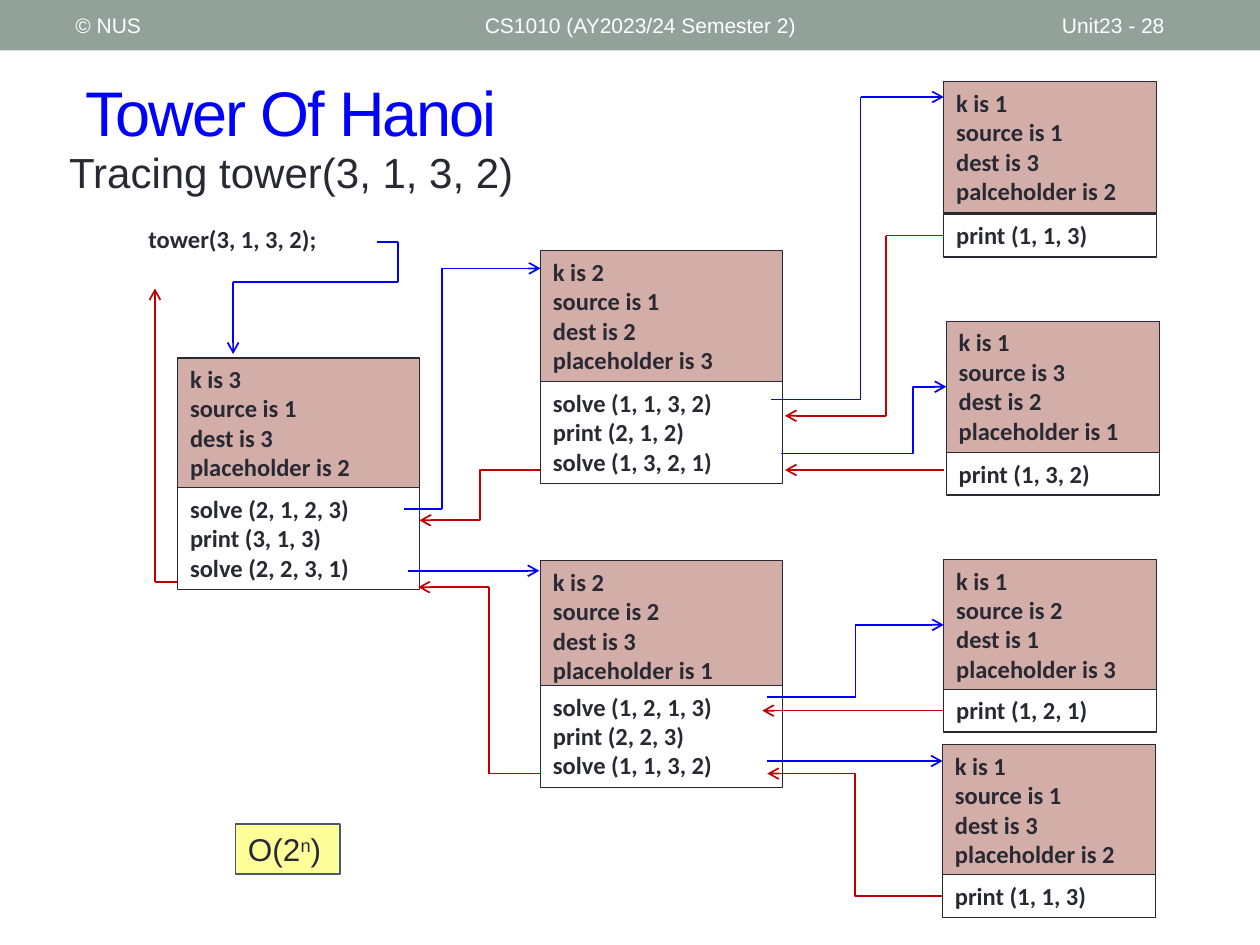
import pptx
import pptx.chart.data
import pptx.dml.color
import pptx.enum.shapes
import pptx.enum.text
import pptx.oxml
import pptx.oxml.ns
import pptx.util
from pptx.util import Inches

HEX = {
    "bar": "93A299", "white": "FFFFFF", "ink": "292934", "call": "0000FF",
    "back": "C00000", "state": "D3AEA8", "note": "FFFF99", "edge": "4C5A6A",
    "mark": "3B3B4B",
}

HEAD = [("© NUS", 0.5, 3.17), ("CS1010 (AY2023/24 Semester 2)", 3.75, 4.5),
        ("Unit23 - 28", 8.33, 1.17)]

# left, top, width, state height, top of steps, steps height,
# (k, source, dest, placeholder), steps, label of the last state line
WORD = "placeholder"
FRAMES = [
    (1.41, 2.84, 1.92, 1.28, 3.87, 0.81, (3, 1, 3, 2),
     ["solve (2, 1, 2, 3)", "print (3, 1, 3)", "solve (2, 2, 3, 1)"], WORD),
    (4.29, 1.99, 1.92, 1.28, 3.03, 0.81, (2, 1, 2, 3),
     ["solve (1, 1, 3, 2)", "print (2, 1, 2)", "solve (1, 3, 2, 1)"], WORD),
    (4.29, 4.45, 1.92, 1.28, 5.44, 0.81, (2, 2, 3, 1),
     ["solve (1, 2, 1, 3)", "print (2, 2, 3)", "solve (1, 1, 3, 2)"], WORD),
    (7.49, 0.65, 1.69, 1.04, 1.7, 0.34, (1, 1, 3, 2),
     ["print (1, 1, 3)"], "palceholder"),
    (7.51, 2.55, 1.69, 1.04, 3.59, 0.34, (1, 3, 2, 1),
     ["print (1, 3, 2)"], WORD),
    (7.49, 4.44, 1.69, 1.04, 5.47, 0.34, (1, 2, 1, 3),
     ["print (1, 2, 1)"], WORD),
    (7.48, 5.91, 1.69, 1.04, 6.94, 0.34, (1, 1, 3, 2),
     ["print (1, 1, 3)"], WORD),
]

# colour and corner points; the last stretch carries the arrowhead
ROUTES = [
    ("call", [(2.99, 1.92), (3.16, 1.92), (3.16, 2.24), (1.85, 2.24), (1.85, 2.81)]),
    ("call", [(3.21, 4.04), (3.51, 4.04), (3.51, 2.13), (4.29, 2.13)]),
    ("call", [(3.24, 4.53), (4.28, 4.53)]),
    ("call", [(6.12, 3.17), (6.83, 3.17), (6.83, 0.77), (7.49, 0.77)]),
    ("back", [(7.49, 1.87), (7.03, 1.87), (7.03, 3.3), (6.23, 3.3)]),
    ("back", [(7.49, 3.73), (6.23, 3.73)]),
    ("back", [(7.49, 5.64), (6.05, 5.64)]),
    ("call", [(6.09, 6.04), (7.48, 6.04)]),
    ("back", [(4.29, 6.14), (3.88, 6.14), (3.88, 4.66), (3.32, 4.66)]),
    ("back", [(1.41, 4.62), (1.23, 4.62), (1.23, 2.29)]),
]

# colour, start, end, share of the width before the bend
ELBOWS = [
    ("call", (6.2, 3.6), (7.51, 3.07), 0.8),
    ("back", (4.29, 3.73), (3.33, 4.13), 0.5),
    ("call", (6.09, 5.53), (7.49, 4.96), 0.5),
    ("back", (7.48, 7.11), (6.09, 6.14), 0.5),
]

KIND = pptx.enum.shapes.MSO_CONNECTOR
FIT = pptx.enum.text.MSO_AUTO_SIZE.SHAPE_TO_FIT_TEXT
MIDDLE = pptx.enum.text.MSO_ANCHOR.MIDDLE
LEFT = pptx.enum.text.PP_ALIGN.LEFT

deck = pptx.Presentation()
deck.slide_width, deck.slide_height = Inches(10), Inches(7.5)
slide = deck.slides.add_slide(deck.slide_layouts[6])
shapes = slide.shapes
sides = []  # (x, y, box) for the middle of each left side


def rgb(name):
    return pptx.dml.color.RGBColor.from_string(HEX[name])


def node(parent, tag, **attrs):
    item = pptx.oxml.ns.qn(tag)
    child = parent.makeelement(item, attrs)
    parent.append(child)
    return child


def write(box, lines, size, face="Arial", hue="ink", bold=False):
    frame = box.text_frame
    frame.word_wrap = True
    frame.text = "\n".join(lines)
    for para in frame.paragraphs:
        para.alignment = LEFT
        font = para.font
        font.name, font.size, font.bold = face, pptx.util.Pt(size), bold
        font.color.rgb = rgb(hue)
    return frame


def label(text, at, size, **style):
    box = shapes.add_textbox(*map(Inches, at))
    return write(box, [text], size, **style)


def rect(at, fill, line=None, width=0.75):
    box = shapes.add_shape(pptx.enum.shapes.MSO_SHAPE.RECTANGLE, *map(Inches, at))
    box.shadow.inherit = False
    box.fill.solid()
    box.fill.fore_color.rgb = rgb(fill)
    if line:
        box.line.color.rgb = rgb(line)
        box.line.width = pptx.util.Pt(width)
    else:
        box.line.fill.background()
    box.text_frame.vertical_anchor = pptx.enum.text.MSO_ANCHOR.TOP
    return box


def block(at, fill, lines):
    """One half of a call frame, noted so that arrows can join it."""
    box = rect(at, fill, "ink")
    write(box, lines, 14, face="Calibri", bold=True).auto_size = FIT
    sides.append((at[0], at[1] + at[3] / 2, box))


def find(point):
    for x, y, box in sides:
        if abs(x - point[0]) < 0.01 and abs(y - point[1]) < 0.01:
            return box
    return None


def wire(kind, hue, start, end, arrow):
    link = shapes.add_connector(kind, *map(Inches, start + end))
    link.line.color.rgb = rgb(hue)
    link.line.width = pptx.util.Pt(1)
    if arrow:
        node(link.line._get_or_add_ln(), "a:tailEnd", type="arrow")
    node(link._element.spPr, "a:effectLst")
    for point, join in ((start, link.begin_connect), (end, link.end_connect)):
        box = find(point)
        if box is not None:
            join(box, 1)
    return link


rect((0, 0, 10, 0.4), "bar")
for text, left, width in HEAD:
    label(text, (left, 0.02, width, 0.36), 12, hue="white").vertical_anchor = MIDDLE

title = label("Tower Of Hanoi", (0.58, 0.42, 9.17, 0.92), 36, hue="call")
title.vertical_anchor = MIDDLE
title.paragraphs[0].runs[0]._r.get_or_add_rPr().set("spc", "-100")

lead = shapes.add_textbox(*map(Inches, (0.45, 1.11, 5.25, 0.63)))
props = lead.text_frame.paragraphs[0]._p.get_or_add_pPr()
props.set("marL", str(Inches(0.38)))
props.set("indent", str(-Inches(0.38)))
node(node(props, "a:buClr"), "a:srgbClr", val=HEX["mark"])
node(props, "a:buChar", char="▪")
write(lead, ["Tracing tower(3, 1, 3, 2)"], 24)

label("tower(3, 1, 3, 2);", (1.08, 1.73, 1.97, 0.34), 14, face="Calibri", bold=True)

for left, top, width, tall, low, deep, args, steps, last in FRAMES:
    names = ("k", "source", "dest", last)
    state = [f"{name} is {value}" for name, value in zip(names, args)]
    block((left, top, width, tall), "state", state)
    block((left, low, width, deep), "white", steps)

for hue, points in ROUTES:
    for start, end in zip(points, points[1:]):
        wire(KIND.STRAIGHT, hue, start, end, end == points[-1])

for hue, start, end, bend in ELBOWS:
    link = wire(KIND.ELBOW, hue, start, end, True)
    guides = link._element.spPr.prstGeom.get_or_add_avLst()
    node(guides, "a:gd", name="adj1", fmla=f"val {round(bend * 100000)}")

cost = rect((1.87, 6.54, 0.83, 0.4), "note", "edge", 1)
frame = write(cost, ["O(2"], 18)
frame.auto_size = FIT
para = frame.paragraphs[0]
for text in ("n", ")"):
    para.add_run().text = text
para.runs[1]._r.get_or_add_rPr().set("baseline", "30000")

deck.save("out.pptx")
